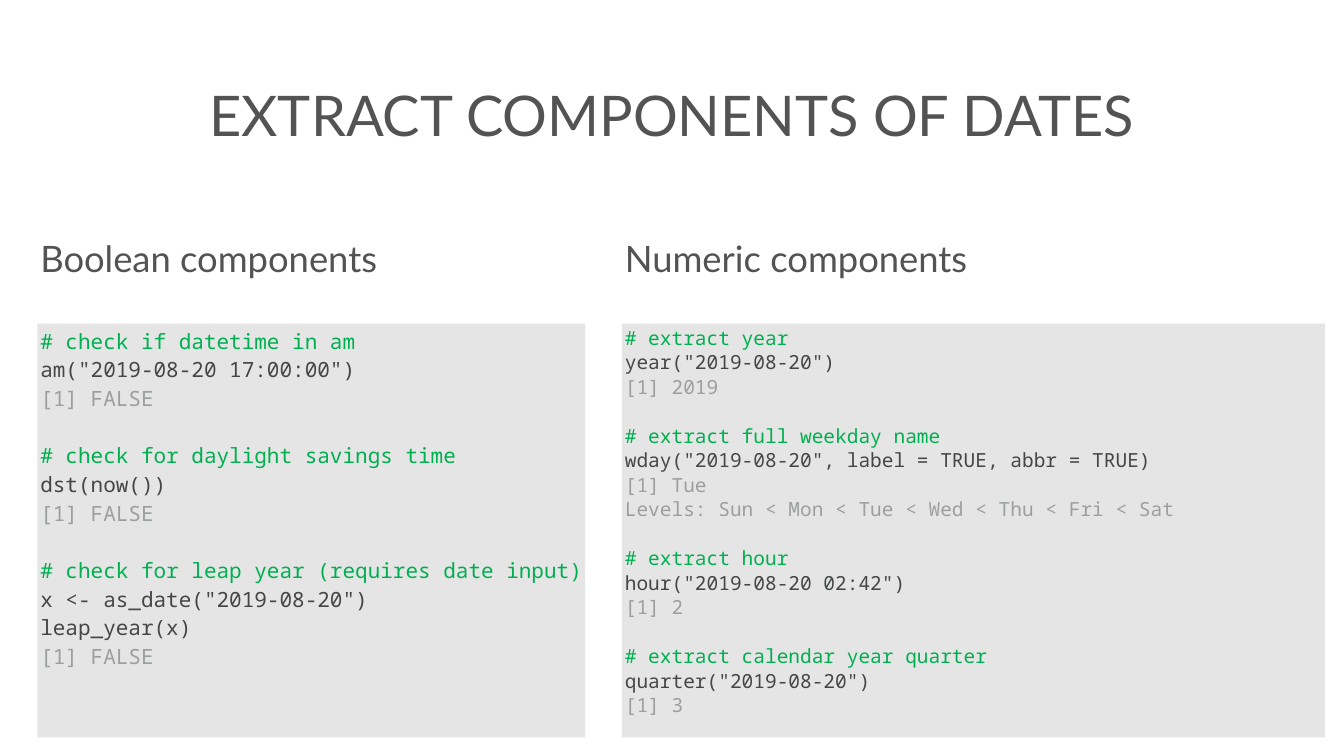
"""Build a slide on extracting boolean and numeric components of dates."""
from pptx import Presentation
from pptx import util as u
from pptx.dml.color import RGBColor
from pptx.enum import shapes, text

THEME = {
    "heading_font": "Lato", "code_font": "Noto Sans Mono",
    "ink": "535353", "panel": "E5E5E5",
    "comment": "00B050", "code": "444746", "output": "9BA09F",
    "title_size": 80, "heading_size": 52,
}
WIDTH, HEIGHT = 26.67, 15
MARGIN, INSET = 0.74, 0.06
TITLE_ROW, HEADING_ROW, CODE_ROW = (0.39, 3.75), (4.19, 1.87), (6.42, 8.21)

COLUMNS = [
    {"heading": "Boolean components", "left": MARGIN, "width": 10.87,
     "heading_width": 10.87, "size": 30, "pitch": 41,
     "blocks": [
         ["# check if datetime in am", 'am("2019-08-20 17:00:00")', "[1] FALSE"],
         ["# check for daylight savings time", "dst(now())", "[1] FALSE"],
         ["# check for leap year (requires date input)",
          'x <- as_date("2019-08-20")', "leap_year(x)", "[1] FALSE"],
     ]},
    {"heading": "Numeric components", "left": 12.34, "width": 13.95,
     "heading_width": 13.61, "size": 27.8, "pitch": 35,
     "blocks": [
         ["# extract year", 'year("2019-08-20")', "[1] 2019"],
         ["# extract full weekday name",
          'wday("2019-08-20", label = TRUE, abbr = TRUE)', "[1] Tue",
          "Levels: Sun < Mon < Tue < Wed < Thu < Fri < Sat"],
         ["# extract hour", 'hour("2019-08-20 02:42")', "[1] 2"],
         ["# extract calendar year quarter", 'quarter("2019-08-20")', "[1] 3"],
     ]},
]


def style(para, font, size, color):
    for span in para.runs:
        span.font.name = THEME[font]
        span.font.size = u.Pt(size)
        span.font.color.rgb = RGBColor.from_string(THEME[color])


def add_heading(page, words, left, row, width, size, align):
    box = page.shapes.add_textbox(*map(u.Inches, (left, row[0], width, row[1])))
    frame = box.text_frame
    frame.word_wrap = True
    frame.vertical_anchor = text.MSO_ANCHOR.MIDDLE
    frame.margin_left = frame.margin_right = u.Inches(INSET)
    frame.margin_top = frame.margin_bottom = u.Inches(INSET)
    frame.text = words
    frame.paragraphs[0].alignment = align
    style(frame.paragraphs[0], "heading_font", size, "ink")


deck = Presentation()
deck.slide_width, deck.slide_height = u.Inches(WIDTH), u.Inches(HEIGHT)
page = deck.slides.add_slide(deck.slide_layouts[6])

add_heading(page, "EXTRACT COMPONENTS OF DATES", MARGIN, TITLE_ROW,
            WIDTH - 2 * MARGIN, THEME["title_size"], text.PP_ALIGN.CENTER)

for column in COLUMNS:
    add_heading(page, column["heading"], column["left"], HEADING_ROW,
                column["heading_width"], THEME["heading_size"], text.PP_ALIGN.LEFT)

    panel = page.shapes.add_shape(
        shapes.MSO_SHAPE.RECTANGLE,
        *map(u.Inches, (column["left"], CODE_ROW[0], column["width"], CODE_ROW[1])))
    panel.shadow.inherit = False
    panel.fill.solid()
    panel.fill.fore_color.rgb = RGBColor.from_string(THEME["panel"])
    panel.line.fill.background()

    frame = panel.text_frame
    frame.word_wrap = True
    frame.vertical_anchor = text.MSO_ANCHOR.TOP
    frame.margin_left = u.Inches(INSET)
    frame.margin_top = u.Inches(0.02)
    frame.margin_right = frame.margin_bottom = 0
    frame.text = "\n".join(line for block in column["blocks"] for line in block)

    for index, para in enumerate(frame.paragraphs):
        para.alignment = text.PP_ALIGN.LEFT
        para.line_spacing = u.Pt(column["pitch"])
        if para.text.startswith("#"):
            color = "comment"
            if index:
                para.space_before = u.Pt(column["pitch"])
        elif para.text.startswith(("[1]", "Levels:")):
            color = "output"
        else:
            color = "code"
        style(para, "code_font", column["size"], color)

deck.save("out.pptx")
